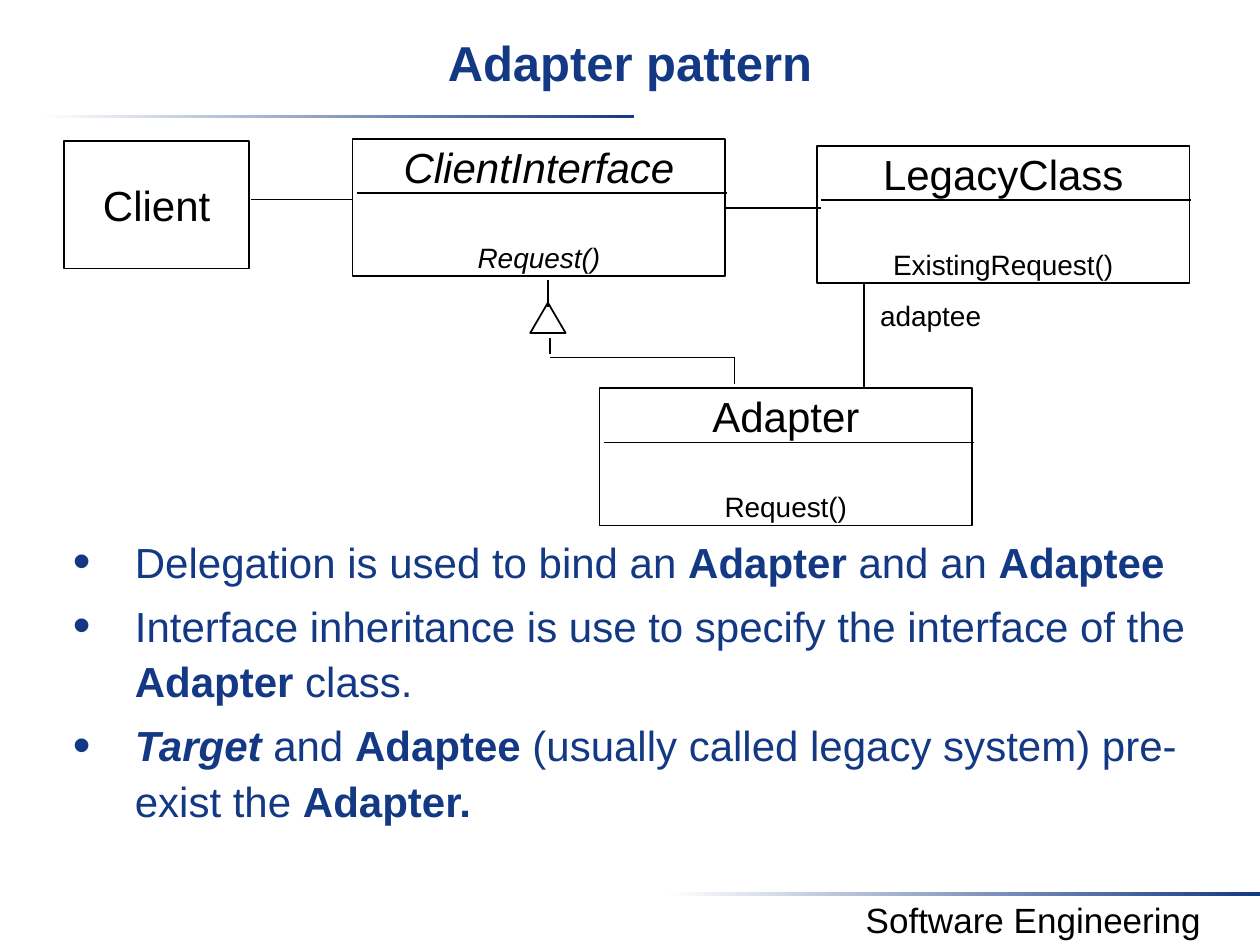
from lxml import etree
from pptx import Presentation
from pptx import util as u
from pptx.dml.color import RGBColor
from pptx.enum import shapes, text
from pptx.oxml import ns

NAVY = RGBColor(0x13, 0x39, 0x84)
BLACK = RGBColor(0, 0, 0)
WHITE = RGBColor(255, 255, 255)
MID = text.PP_ALIGN.CENTER


class Deck:
    """Hold the style and the current slide, and draw each kind of element."""

    font = "Arial"
    big, small = 24, 16

    def __init__(self, wide, high):
        self.prs = Presentation()
        self.prs.slide_width, self.prs.slide_height = u.Pt(wide), u.Pt(high)
        self.slide = self.prs.slides.add_slide(self.prs.slide_layouts[6])

    def run(self, para, words, size, color=BLACK, style=""):
        run = para.add_run()
        run.text = words
        font = run.font
        font.name, font.size = self.font, u.Pt(size)
        font.bold, font.italic = "b" in style, "i" in style
        font.color.rgb = color

    def shape(self, kind, *area):
        shape = self.slide.shapes.add_shape(kind, *map(u.Pt, area))
        shape.shadow.inherit = False
        return shape

    def fade(self, *area):
        bar = self.shape(shapes.MSO_SHAPE.RECTANGLE, *area)
        bar.line.fill.background()
        bar.fill.gradient()
        bar.fill.gradient_angle = 0
        for stop, color in zip(bar.fill.gradient_stops, (WHITE, NAVY)):
            stop.color.rgb = color

    def plain(self, kind, *area):
        shape = self.shape(kind, *area)
        shape.fill.solid()
        shape.fill.fore_color.rgb = WHITE
        shape.line.color.rgb = BLACK
        shape.line.width = u.Pt(1)
        return shape

    def box(self, area, name, call=None, style=""):
        frame = self.plain(shapes.MSO_SHAPE.RECTANGLE, *area).text_frame
        frame.word_wrap = False
        frame.vertical_anchor = text.MSO_ANCHOR.MIDDLE
        para = frame.paragraphs[0]
        para.alignment = MID
        self.run(para, name, self.big, style=style)
        if call:
            para = frame.add_paragraph()
            para.alignment = MID
            para.space_before = u.Pt(27.6)
            self.run(para, call, self.small, style=style)

    def unit(self, left, top, name, call, style=""):
        self.box((left, top, 213, 78.5), name, call, style)
        self.line(left + 2.5, top + 31, left + 214, top + 31)

    def line(self, *ends):
        kind = shapes.MSO_CONNECTOR.STRAIGHT
        line = self.slide.shapes.add_connector(kind, *map(u.Pt, ends))
        line.line.color.rgb = BLACK
        line.line.width = u.Pt(1)
        etree.SubElement(line._element.spPr, ns.qn("a:effectLst"))

    def frame(self, area, wrap=True):
        frame = self.slide.shapes.add_textbox(*map(u.Pt, area)).text_frame
        frame.word_wrap = wrap
        return frame

    def label(self, area, words, size, color=BLACK, style="", wrap=True):
        para = self.frame(area, wrap).paragraphs[0]
        para.alignment = MID
        self.run(para, words, size, color, style)

    def list(self, area, items):
        frame = self.frame(area)
        for i, item in enumerate(items):
            para = frame.add_paragraph() if i else frame.paragraphs[0]
            para.line_spacing = 1.1
            para.space_before = u.Pt(5)
            props = para._p.get_or_add_pPr()
            props.set("marL", str(u.Pt(35.5)))
            props.set("indent", str(-u.Pt(35.5)))
            for tag, key, val in (("buSzPct", "val", "120000"),
                                  ("buFont", "typeface", self.font),
                                  ("buChar", "char", "•")):
                etree.SubElement(props, ns.qn("a:" + tag)).set(key, val)
            for words, style in item:
                self.run(para, words, self.big, NAVY, style)


def main():
    deck = Deck(720, 540)
    deck.fade(22.5, 65.5, 340, 2.2)
    deck.fade(380, 509.8, 340, 2.2)
    deck.label((461, 510, 259, 31.5), "Software Engineering", 20)
    deck.list((34.5, 300, 650, 193), [
        [("Delegation is used to bind an ", ""), ("Adapter", "b"),
         (" and an ", ""), ("Adaptee", "b")],
        [("Interface inheritance is use to specify the interface of the ", ""),
         ("Adapter", "b"), (" class.", "")],
        [("Target", "bi"), (" and ", ""), ("Adaptee", "b"),
         (" (usually called legacy system) pre-exist the ", ""),
         ("Adapter.", "b")],
    ])
    deck.label((0, 15, 720, 54), "Adapter pattern", 28, NAVY, "b")

    deck.box((36.5, 80.5, 106, 73), "Client")
    deck.unit(201.5, 79.3, "ClientInterface", "Request()", "i")
    deck.unit(466.8, 83.4, "LegacyClass", "ExistingRequest()")
    deck.unit(342.6, 221.8, "Adapter", "Request()")
    deck.plain(shapes.MSO_SHAPE.ISOSCELES_TRIANGLE, 303, 173, 20.2, 17.3)
    for ends in ((143.3, 114, 201.5, 114),
                 (414.7, 119, 469.4, 119),
                 (313, 160, 313, 175.7),
                 (314.5, 193, 314.5, 202.3),
                 (314.5, 204.3, 419.8, 204.3),
                 (419.8, 204.3, 419.8, 219.6),
                 (493.9, 161.5, 493.9, 221)):
        deck.line(*ends)
    deck.label((495.4, 167, 72.7, 26.6), "adaptee", deck.small, wrap=False)
    deck.prs.save("out.pptx")


if __name__ == "__main__":
    main()
